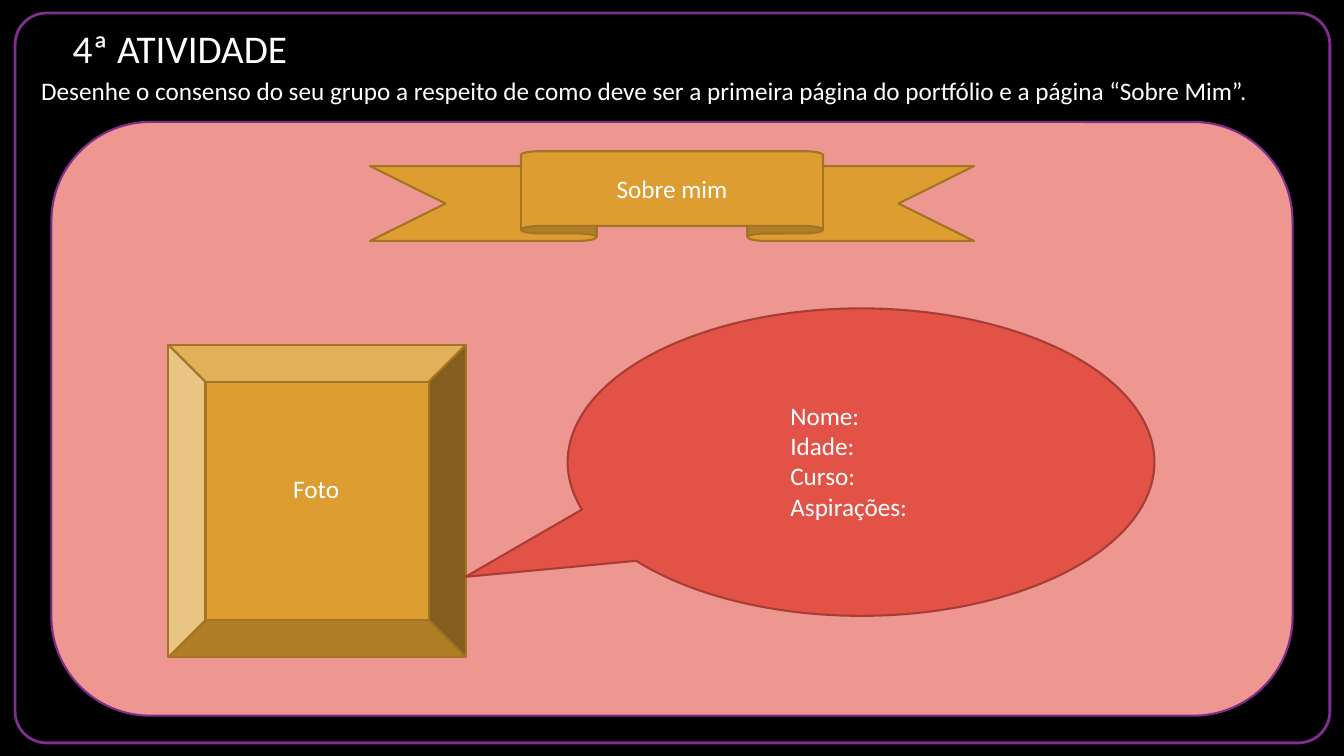
from pptx import Presentation
from pptx.dml.color import RGBColor
from pptx.enum.shapes import MSO_SHAPE
from pptx.enum.text import MSO_ANCHOR, MSO_AUTO_SIZE, PP_ALIGN
from pptx.util import Inches, Pt

BLACK = RGBColor(0x00, 0x00, 0x00)
WHITE = RGBColor(0xFF, 0xFF, 0xFF)
PURPLE = RGBColor(0x7F, 0x2E, 0x8F)
PINK = RGBColor(0xEE, 0x97, 0x91)
GOLD = RGBColor(0xDD, 0x9D, 0x31)
BROWN = RGBColor(0xA3, 0x74, 0x24)
RED = RGBColor(0xE2, 0x52, 0x47)
DARK_RED = RGBColor(0xA7, 0x3D, 0x35)


def write(shape, lines, size=18, align=PP_ALIGN.LEFT, **frame_format):
    """Write one paragraph per line and format the text frame."""
    frame = shape.text_frame
    for name, value in {"word_wrap": True, **frame_format}.items():
        setattr(frame, name, value)
    frame.text = "\n".join(lines)
    font_format = {"name": "Calibri", "size": Pt(size), "bold": False}
    for paragraph in frame.paragraphs:
        paragraph.alignment = align
        for span in paragraph.runs:
            for name, value in font_format.items():
                setattr(span.font, name, value)
            span.font.color.rgb = WHITE


def add_outlined(page, kind, bounds, fill, line, width=1.5, adjustments=()):
    """Add a preset shape with an outline and an optional fill."""
    shape = page.shapes.add_shape(kind, *map(Inches, bounds))
    shape.shadow.inherit = False
    for index, value in enumerate(adjustments):
        shape.adjustments[index] = value
    if fill is None:
        shape.fill.background()
    else:
        shape.fill.solid()
        shape.fill.fore_color.rgb = fill
    shape.line.color.rgb = line
    shape.line.width = Pt(width)
    return shape


def add_text(page, bounds, *lines):
    """Add a wrapping text box that grows with its text."""
    box = page.shapes.add_textbox(*map(Inches, bounds))
    write(box, lines, auto_size=MSO_AUTO_SIZE.SHAPE_TO_FIT_TEXT)


def set_title(page, bounds, text):
    """Place and format the title placeholder."""
    title = page.shapes.title
    for name, value in zip(("left", "top", "width", "height"), bounds):
        setattr(title, name, Inches(value))
    write(title, [text], size=28, vertical_anchor=MSO_ANCHOR.MIDDLE)


def main():
    """Build the activity slide and save the deck."""
    deck = Presentation()
    deck.slide_width, deck.slide_height = Inches(13.33), Inches(7.5)
    page = deck.slides.add_slide(deck.slide_layouts[5])
    page.background.fill.solid()
    page.background.fill.fore_color.rgb = BLACK

    set_title(page, (0.62, 0, 11.87, 0.95), "4ª ATIVIDADE")
    add_outlined(page, MSO_SHAPE.ROUNDED_RECTANGLE, (0.15, 0.13, 13.04, 7.24),
                 None, PURPLE, width=2, adjustments=[0.043])
    add_outlined(page, MSO_SHAPE.ROUNDED_RECTANGLE, (0.51, 1.21, 12.31, 5.89),
                 PINK, PURPLE)
    ribbon = add_outlined(page, MSO_SHAPE.UP_RIBBON, (3.67, 1.5, 5.99, 0.89),
                          GOLD, BROWN)
    write(ribbon, ["Sobre mim"], align=PP_ALIGN.CENTER,
          vertical_anchor=MSO_ANCHOR.MIDDLE)
    add_outlined(page, MSO_SHAPE.BEVEL, (1.67, 3.42, 2.95, 3.1), GOLD, BROWN)
    add_text(page, (2.81, 4.65, 1.81, 0.4), "Foto")
    add_outlined(page, MSO_SHAPE.OVAL_CALLOUT, (5.63, 3.06, 5.82, 3.05),
                 RED, DARK_RED, adjustments=[-0.674, 0.373])
    add_text(page, (7.74, 3.92, 2.69, 1.31),
             "Nome:", "Idade:", "Curso:", "Aspirações:")
    add_text(page, (0.31, 0.7, 12.71, 0.4),
             "Desenhe o consenso do seu grupo a respeito de como deve ser a "
             "primeira página do portfólio e a página “Sobre Mim”.")
    deck.save("out.pptx")


if __name__ == "__main__":
    main()
